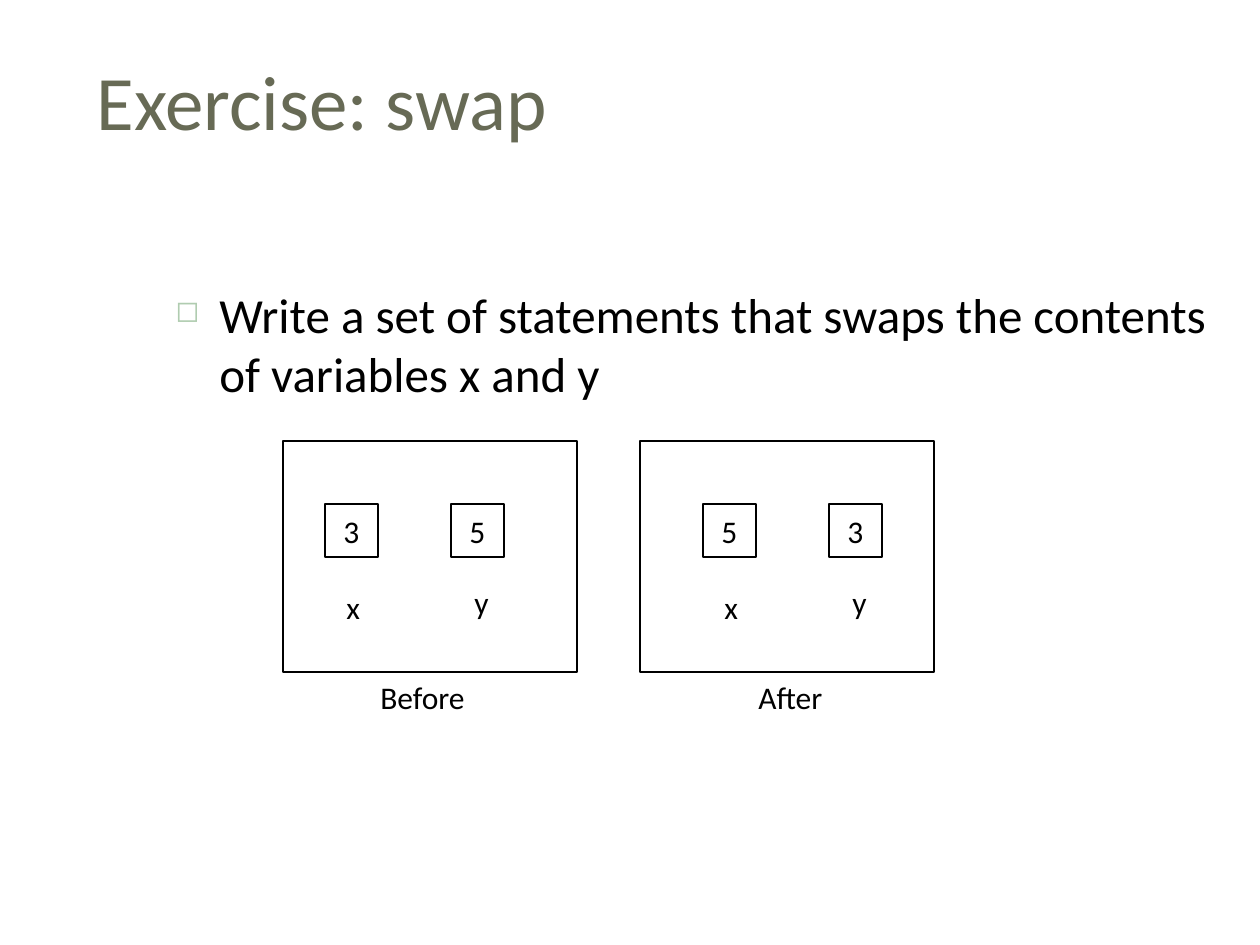
import pptx
import pptx.dml.color
import pptx.enum.shapes
import pptx.enum.text
import pptx.oxml
import pptx.oxml.ns
import pptx.util

BLACK = pptx.dml.color.RGBColor(0x00, 0x00, 0x00)
OLIVE = pptx.dml.color.RGBColor(0x67, 0x6A, 0x55)
SAGE = pptx.dml.color.RGBColor(0xB0, 0xCC, 0xB0)

FONT = "Calibri"
PX_PER_INCH = 126
CELL_SIZE = 53
CELL_STEP = 126
PANEL_STEP = 378
FRAME_STEP = 357


def px(length):
    return pptx.util.Emu(round(length * 914400 / PX_PER_INCH))


def write_text(box, text, size=18, color=BLACK, align=pptx.enum.text.PP_ALIGN.LEFT,
               anchor=pptx.enum.text.MSO_ANCHOR.TOP, wrap=False):
    frame = box.text_frame
    frame.word_wrap = wrap
    frame.vertical_anchor = anchor
    para = frame.paragraphs[0]
    para.alignment = align
    span = para.add_run()
    span.text = text
    span.font.name = FONT
    span.font.size = pptx.util.Pt(size)
    span.font.color.rgb = color
    return para


def add_label(slide, left, top, width, height, text, **text_format):
    box = slide.shapes.add_textbox(px(left), px(top), px(width), px(height))
    return write_text(box, text, **text_format)


def add_outline(slide, left, top, width, height):
    box = slide.shapes.add_shape(pptx.enum.shapes.MSO_SHAPE.RECTANGLE,
                                 px(left), px(top), px(width), px(height))
    box.shadow.inherit = False
    box.fill.background()
    box.line.color.rgb = BLACK
    box.line.width = pptx.util.Pt(0.75)
    return box


def add_bullet(para, symbol, color, percent, indent):
    properties = para._p.get_or_add_pPr()
    properties.set("marL", str(indent))
    properties.set("indent", str(-indent))
    namespace = pptx.oxml.ns.nsdecls("a")
    for markup in (
        f'<a:buClr {namespace}><a:srgbClr val="{color}"/></a:buClr>',
        f'<a:buSzPct {namespace} val="{percent * 1000}"/>',
        f'<a:buChar {namespace} char="{symbol}"/>',
    ):
        properties.append(pptx.oxml.parse_xml(markup))


def add_title(slide, text):
    title = slide.shapes.title
    title.left, title.top, title.width, title.height = map(px, (84, 32, 1124, 136))
    write_text(title, text, size=44, color=OLIVE, wrap=True,
               anchor=pptx.enum.text.MSO_ANCHOR.MIDDLE)


def add_task(slide, text):
    para = add_label(slide, 163, 278, 1071, 142, text, size=28, wrap=True)
    para.space_before = pptx.util.Pt(7)
    add_bullet(para, "◻", SAGE, percent=60, indent=px(44))


def add_variables(slide, left, values):
    """Draw the cells of x and y with their values, and the names below."""
    for column, value in enumerate(values):
        cell = add_outline(slide, left + column * CELL_STEP, 504, CELL_SIZE, CELL_SIZE)
        write_text(cell, value, align=pptx.enum.text.PP_ALIGN.CENTER,
                   anchor=pptx.enum.text.MSO_ANCHOR.MIDDLE)
    add_label(slide, left + 9, 582, 40, 50, "x")
    add_label(slide, left + 137, 577, 42, 50, "y")


def main():
    deck = pptx.Presentation()
    deck.slide_width, deck.slide_height = px(1260), px(945)
    slide = deck.slides.add_slide(deck.slide_layouts[5])

    add_title(slide, "Exercise: swap")
    add_task(slide, "Write a set of statements that swaps the contents of variables x and y")

    states = [("Before", 116, ("3", "5")), ("After", 93, ("5", "3"))]
    for index, (caption, width, values) in enumerate(states):
        add_variables(slide, 325 + index * PANEL_STEP, values)
        add_label(slide, 368 + index * PANEL_STEP, 672, width, 50, caption)
        add_outline(slide, 283 + index * FRAME_STEP, 441, 294, 231)

    deck.save("out.pptx")


if __name__ == "__main__":
    main()
